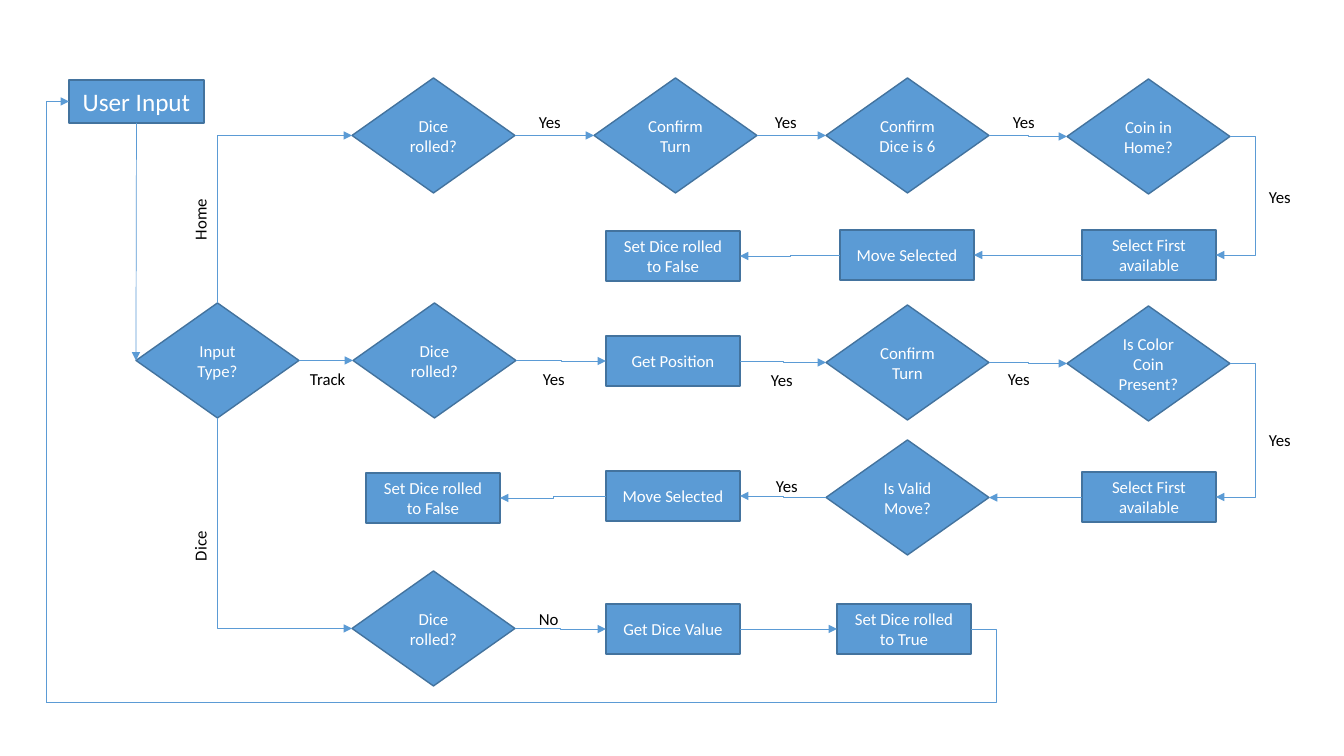
from pptx import Presentation, util as u
from pptx.dml.color import RGBColor
from pptx.enum import shapes, text
from pptx.oxml import parse_xml
from pptx.oxml.ns import qn, nsdecls

PX = 914400 / 100.8
BLUE = RGBColor(0x5B, 0x9B, 0xD5)
EDGE = RGBColor(0x43, 0x73, 0x9E)
WHITE = RGBColor(255, 255, 255)
BLACK = RGBColor(0, 0, 0)
TOP, LEFT, BASE, RIGHT = range(4)


def emu(*nums):
    return [u.Emu(round(n * PX)) for n in nums]


def write(frame, words, size, tint):
    run = frame.paragraphs[0].add_run()
    run.text = words
    run.font.name = "Calibri"
    run.font.size = u.Pt(size)
    run.font.color.rgb = tint


deck = Presentation()
deck.slide_width, deck.slide_height = emu(1344, 756)
slide = deck.slides.add_slide(deck.slide_layouts[6])

box = shapes.MSO_SHAPE.RECTANGLE, 134, 50, 12
gem = shapes.MSO_SHAPE.DIAMOND, 163, 115, 12
head = shapes.MSO_SHAPE.RECTANGLE, 135, 43, 18
steps = {
    "user": (head, 69, 80, "User Input"),
    "type": (gem, 136, 303, "Input Type?"),
    "home roll": (gem, 352, 78, "Dice rolled?"),
    "home turn": (gem, 594, 78, "Confirm Turn"),
    "six": (gem, 826, 78, "Confirm Dice is 6"),
    "coin": (gem, 1067, 79, "Coin in Home?"),
    "home pick": (box, 1082, 230, "Select First available"),
    "home move": (box, 840, 230, "Move Selected"),
    "home end": (box, 606, 231, "Set Dice rolled to False"),
    "track roll": (gem, 353, 303, "Dice rolled?"),
    "place": (box, 606, 336, "Get Position"),
    "track turn": (gem, 826, 305, "Confirm Turn"),
    "color": (gem, 1067, 306, "Is Color Coin Present?"),
    "track pick": (box, 1082, 472, "Select First available"),
    "valid": (gem, 826, 440, "Is Valid Move?"),
    "track move": (box, 606, 471, "Move Selected"),
    "track end": (box, 366, 473, "Set Dice rolled to False"),
    "dice roll": (gem, 352, 571, "Dice rolled?"),
    "value": (box, 606, 604, "Get Dice Value"),
    "dice end": (box, 837, 604, "Set Dice rolled to True"),
}
nodes = {}
for key, ((form, wide, high, size), x, y, words) in steps.items():
    node = slide.shapes.add_shape(form, *emu(x, y, wide, high))
    node.shadow.inherit = False
    node.fill.solid()
    node.fill.fore_color.rgb = BLUE
    node.line.color.rgb = EDGE
    node.line.width = u.Pt(1)
    frame = node.text_frame
    frame.word_wrap = True
    frame.vertical_anchor = text.MSO_ANCHOR.MIDDLE
    frame.paragraphs[0].alignment = text.PP_ALIGN.CENTER
    write(frame, words, size, WHITE)
    nodes[key] = node

links = [
    ("user", BASE, "type", LEFT, "line"),
    ("type", TOP, "home roll", LEFT, "turn"),
    ("type", BASE, "dice roll", LEFT, "turn"),
    ("coin", RIGHT, "home pick", RIGHT, 1255),
    ("color", RIGHT, "track pick", RIGHT, 1255),
    ("dice end", RIGHT, None, None, 996),
    (None, None, "user", LEFT, "turn"),
]
rows = [
    (RIGHT, LEFT, ["home roll", "home turn", "six", "coin"]),
    (RIGHT, LEFT, ["type", "track roll", "place", "track turn", "color"]),
    (RIGHT, LEFT, ["dice roll", "value", "dice end"]),
    (LEFT, RIGHT, ["home pick", "home move", "home end"]),
    (LEFT, RIGHT, ["track pick", "valid", "track move", "track end"]),
]
for out, into, keys in rows:
    links += [(a, out, b, into, "step") for a, b in zip(keys, keys[1:])]

corner = emu(46, 702)
for start, out, end, into, bend in links:
    form = shapes.MSO_CONNECTOR.STRAIGHT if bend == "line" else shapes.MSO_CONNECTOR.ELBOW
    link = slide.shapes.add_connector(form, *corner, *corner)
    if start:
        link.begin_connect(nodes[start], out)
    if end:
        link.end_connect(nodes[end], into)
    link.line.color.rgb = BLUE
    link.line.width = u.Pt(0.5)
    props = link._element.spPr
    geom = props.find(qn("a:prstGeom"))
    if bend == "turn":
        rise = link.end_y < link.begin_y
        midx = (link.begin_x + link.end_x) // 2
        midy = (link.begin_y + link.end_y) // 2
        wide, high = link.height, link.width
        link.left, link.top = midx - wide // 2, midy - high // 2
        link.width, link.height = wide, high
        frame = props.find(qn("a:xfrm"))
        frame.set("rot", "5400000" if rise else "16200000")
        frame.set("flipH", "1")
        geom.set("prst", "bentConnector2")
    elif isinstance(bend, int):
        ratio = (bend * PX - link.begin_x) / (link.end_x - link.begin_x)
        guides = geom.get_or_add_avLst()
        guides.append(parse_xml(
            f'<a:gd {nsdecls("a")} name="adj1" fmla="val {round(ratio * 100000)}"/>'))
    if end:
        props.find(qn("a:ln")).append(parse_xml(f'<a:tailEnd {nsdecls("a")} type="triangle"/>'))
    props.append(parse_xml(f'<a:effectLst {nsdecls("a")}/>'))

labels = [
    ("Yes", 529, 107), ("Yes", 765, 107), ("Yes", 1003, 107),
    ("Yes", 1259, 182), ("Yes", 1259, 425), ("Track", 300, 364),
    ("Yes", 533, 364), ("Yes", 761, 365), ("Yes", 998, 364),
    ("Yes", 766, 471), ("No", 529, 604),
    ("Home", 185, 169), ("Dice", 185, 490),
]
for words, x, y in labels:
    tall = words in ("Home", "Dice")
    note = slide.shapes.add_textbox(*emu(x, y, *((40, 81) if tall else (73, 30))))
    frame = note.text_frame
    frame.word_wrap = True
    frame.auto_size = text.MSO_AUTO_SIZE.SHAPE_TO_FIT_TEXT
    if tall:
        frame._txBody.bodyPr.set("vert", "vert270")
    write(frame, words, 12, BLACK)

deck.save("out.pptx")
